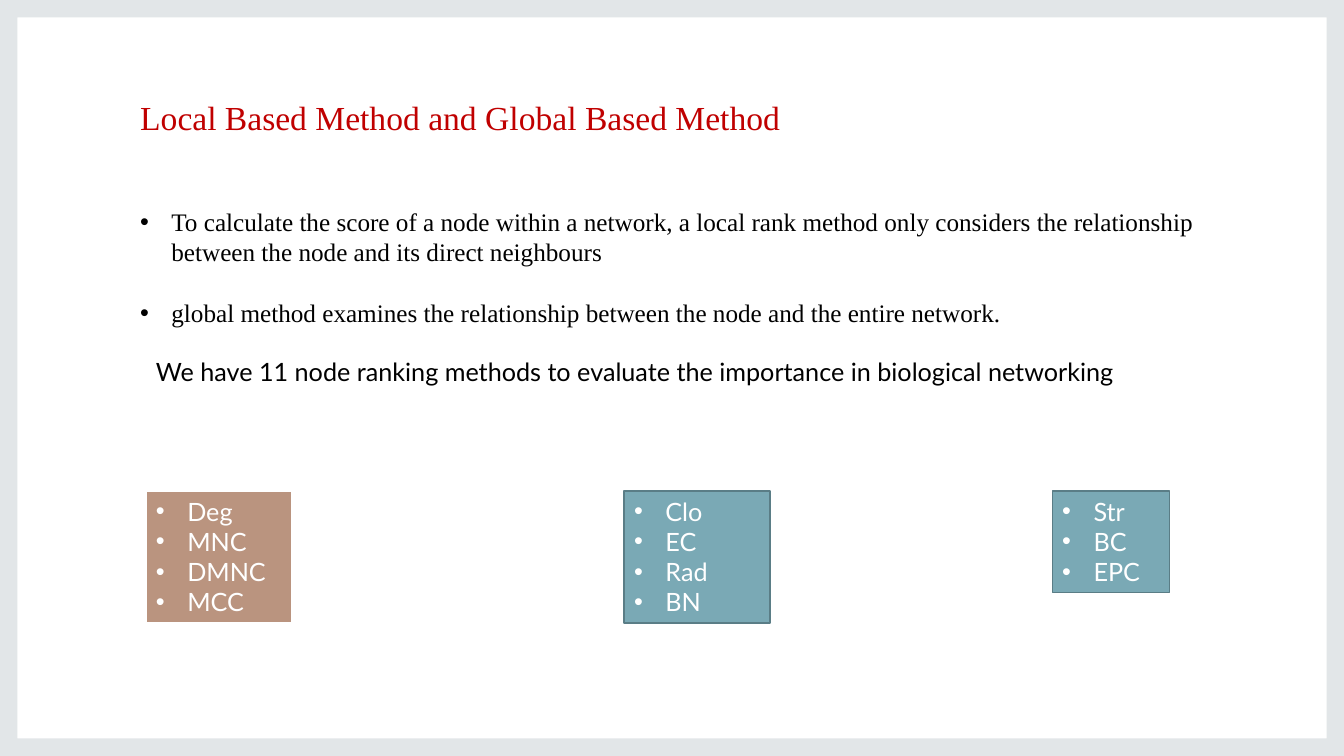
from lxml.etree import SubElement
from pptx import Presentation
from pptx.dml.color import RGBColor
from pptx.enum.shapes import MSO_SHAPE
from pptx.enum.text import MSO_ANCHOR, MSO_AUTO_SIZE, PP_ALIGN
from pptx.oxml.ns import qn
from pptx.util import Cm, Pt

FRAME_GREY, TITLE_RED, BLACK, WHITE = "E2E6E8", "C00000", "000000", "FFFFFF"
BROWN, TEAL, DARK_TEAL = "BA947F", "7AA9B5", "5A7D86"
SERIF, SANS = "Times New Roman", "Lato"


def colour(hex_code):
    return RGBColor.from_string(hex_code)


def apply_format(target, settings):
    for attribute, value in settings.items():
        setattr(target, attribute, value)


class SlideBuilder:
    """Holds the presentation style and the current slide."""

    frame_format = {"word_wrap": True, "auto_size": MSO_AUTO_SIZE.NONE,
                    "vertical_anchor": MSO_ANCHOR.TOP}
    indent = Cm(0.79)

    def __init__(self, slide):
        self.slide = slide

    def place(self, element, box):
        names = ("left", "top", "width", "height")
        apply_format(element, dict(zip(names, map(Cm, box))))

    def fill_text(self, element, lines, font, size, ink, bullets=False, gap=0):
        frame = element.text_frame
        apply_format(frame, self.frame_format)
        frame.text = "\n".join(lines)
        for number, paragraph in enumerate(frame.paragraphs):
            apply_format(paragraph, {"alignment": PP_ALIGN.LEFT,
                                     "space_before": Pt(gap if number else 0)})
            apply_format(paragraph.runs[0].font, {"name": font, "size": Pt(size)})
            paragraph.runs[0].font.color.rgb = colour(ink)
            if bullets:
                self.add_bullet(paragraph)

    def add_bullet(self, paragraph):
        properties = paragraph._p.get_or_add_pPr()
        properties.set("marL", str(self.indent))
        properties.set("indent", str(-self.indent))
        SubElement(properties, qn("a:buFont"), typeface="Arial")
        SubElement(properties, qn("a:buChar"), char="•")

    def title(self, text, box):
        heading = self.slide.shapes.title
        self.place(heading, box)
        self.fill_text(heading, [text], SERIF, 24, TITLE_RED)

    def text(self, lines, box, font, **options):
        text_box = self.slide.shapes.add_textbox(*map(Cm, box))
        self.fill_text(text_box, lines, font, 18, BLACK, **options)

    def shape(self, preset, box, fill, line=None, line_width=1):
        block = self.slide.shapes.add_shape(preset, *map(Cm, box))
        block.shadow.inherit = False
        block.fill.solid()
        block.fill.fore_color.rgb = colour(fill)
        if line:
            block.line.color.rgb = colour(line)
            block.line.width = Pt(line_width)
        else:
            block.line.fill.background()
        return block

    def border(self, box, thickness):
        frame = self.shape(MSO_SHAPE.FRAME, box, FRAME_GREY)
        frame.adjustments[0] = thickness / min(box[2:])

    def method_list(self, methods, box, fill, line, line_width):
        block = self.shape(MSO_SHAPE.RECTANGLE, box, fill, line, line_width)
        self.fill_text(block, methods, SANS, 18, WHITE, bullets=True)


def main():
    presentation = Presentation()
    slide_width, slide_height = 33.87, 19.05
    apply_format(presentation, {"slide_width": Cm(slide_width),
                                "slide_height": Cm(slide_height)})
    builder = SlideBuilder(presentation.slides.add_slide(presentation.slide_layouts[5]))

    builder.border((0, 0, slide_width, slide_height), 0.44)
    builder.title("Local Based Method and Global Based Method", (3.28, 2.31, 16.79, 1.27))
    builder.text(
        ["To calculate the score of a node within a network, a local rank method only "
         "considers the relationship between the node and its direct neighbours",
         "global method examines the relationship between the node and the entire network."],
        (3.28, 5.08, 27.28, 3.33), SERIF, bullets=True, gap=22)
    builder.text(
        ["We have 11 node ranking methods to evaluate the importance in biological networking"],
        (3.68, 8.86, 27.28, 1.02), SANS)

    method_groups = [
        (["Deg", "MNC", "DMNC", "MCC"], 3.68, 3.68, BROWN, WHITE, 1.5),
        (["Clo", "EC", "Rad", "BN"], 15.73, 3.68, TEAL, DARK_TEAL, 1),
        (["Str", "BC", "EPC"], 26.52, 2.95, TEAL, DARK_TEAL, 1),
    ]
    for methods, left, width, fill, line, line_width in method_groups:
        height = 0.25 + 0.77 * len(methods)
        builder.method_list(methods, (left, 12.37, width, height), fill, line, line_width)

    presentation.save("out.pptx")


if __name__ == "__main__":
    main()
